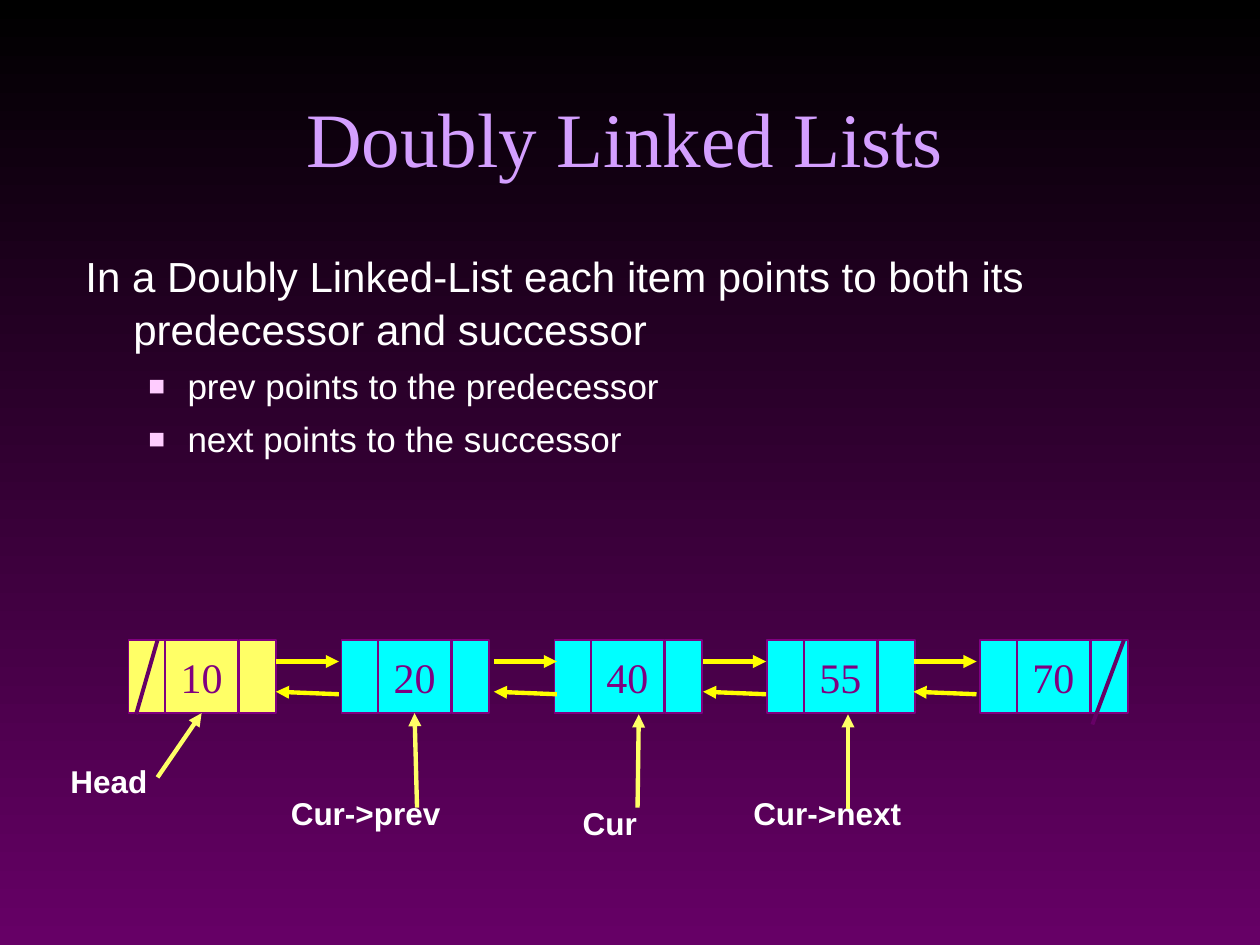
"""Build a slide that explains doubly linked lists with a five-node diagram."""
from lxml import etree
from pptx import Presentation
from pptx.dml.color import RGBColor
from pptx.enum.shapes import MSO_CONNECTOR, MSO_SHAPE
from pptx.enum.text import MSO_ANCHOR, PP_ALIGN
from pptx.oxml.ns import qn
from pptx.util import Inches, Pt

BLACK = RGBColor(0x00, 0x00, 0x00)
WHITE = RGBColor(0xFF, 0xFF, 0xFF)
LILAC = RGBColor(0xD4, 0x9F, 0xFF)
DARK_PURPLE = RGBColor(0x66, 0x00, 0x66)
PURPLE = RGBColor(0x80, 0x00, 0x80)
CYAN = RGBColor(0x00, 0xFF, 0xFF)
PALE_YELLOW = RGBColor(0xFF, 0xFF, 0x66)
YELLOW = RGBColor(0xFF, 0xFF, 0x00)
LEFT, CENTER = PP_ALIGN.LEFT, PP_ALIGN.CENTER
TOP, MIDDLE, BOTTOM = MSO_ANCHOR.TOP, MSO_ANCHOR.MIDDLE, MSO_ANCHOR.BOTTOM
RECTANGLE = MSO_SHAPE.RECTANGLE
STRAIGHT = MSO_CONNECTOR.STRAIGHT

deck = Presentation()
deck.slide_width, deck.slide_height = Inches(10), Inches(7.5)
page = deck.slides.add_slide(deck.slide_layouts[6])
background = page.background.fill
background.gradient()
background.gradient_angle = 270
for stop, color in zip(background.gradient_stops, (BLACK, DARK_PURPLE)):
    stop.color.rgb = color


def write(box, text, size, color, font="Arial", bold=False, align=LEFT, anchor=TOP,
          before=0, margin=0, hanging=0, bullet=False, spacing=None, more=False):
    frame = box.text_frame
    frame.word_wrap = True
    frame.vertical_anchor = anchor
    para = frame.add_paragraph() if more else frame.paragraphs[0]
    para.alignment = align
    para.space_before = Pt(before)
    para.line_spacing = spacing
    properties = para._p.get_or_add_pPr()
    properties.set("marL", str(Inches(margin)))
    properties.set("indent", str(-Inches(hanging)))
    if bullet:
        bullet_color = etree.SubElement(properties, qn("a:buClr"))
        etree.SubElement(bullet_color, qn("a:srgbClr"), val="FFCCFF")
        etree.SubElement(properties, qn("a:buSzPct"), val="80000")
        etree.SubElement(properties, qn("a:buFont"), typeface="Arial")
        etree.SubElement(properties, qn("a:buChar"), char="■")
    span = para.add_run()
    span.text = text
    span.font.name, span.font.size, span.font.bold = font, Pt(size), bold
    span.font.color.rgb = color


def draw_line(start, end, color, width=2.5, arrow=True):
    line = page.shapes.add_connector(STRAIGHT, *map(Inches, start + end))
    line.line.color.rgb = color
    line.line.width = Pt(width)
    if arrow:
        etree.SubElement(line.line._get_or_add_ln(), qn("a:tailEnd"), type="triangle")
    etree.SubElement(line._element.spPr, qn("a:effectLst"))
    return line


title = page.shapes.add_textbox(Inches(0.67), Inches(0.25), Inches(8.58), Inches(1.25))
write(title, "Doubly Linked Lists", 44, LILAC, font="Times New Roman", align=CENTER, anchor=BOTTOM)

body = page.shapes.add_textbox(Inches(0.58), Inches(1.92), Inches(8.58), Inches(4.5))
write(body, "In a Doubly Linked-List each item points to both its predecessor and successor",
      24, WHITE, margin=0.38, hanging=0.38, spacing=1.05)
for point in ("prev points to the predecessor", "next points to the successor"):
    write(body, point, 20, WHITE, before=5, margin=0.81, hanging=0.31, bullet=True,
          spacing=1.05, more=True)

NODE_TOP, NODE_HEIGHT, POINTER_WIDTH, VALUE_WIDTH = 5.08, 0.58, 0.29, 0.58
value_cells = {}
for index, value in enumerate(("10", "20", "40", "55", "70")):
    node_left = 1.02 + 1.69 * index
    for offset, width, text in ((0.29, VALUE_WIDTH, value), (0, POINTER_WIDTH, ""),
                                (0.88, POINTER_WIDTH, "")):
        cell = page.shapes.add_shape(RECTANGLE, Inches(node_left + offset), Inches(NODE_TOP),
                                     Inches(width), Inches(NODE_HEIGHT))
        cell.shadow.inherit = False
        cell.fill.solid()
        cell.fill.fore_color.rgb = CYAN if index else PALE_YELLOW
        cell.line.color.rgb = PURPLE
        cell.line.width = Pt(1)
        if text:
            write(cell, text, 24, PURPLE, font="Times New Roman", align=CENTER, anchor=MIDDLE)
            cell.text_frame.word_wrap = False
            value_cells[text] = cell

for gap_left in (2.19, 3.92, 5.58, 7.25):
    gap_right = gap_left + 0.5
    draw_line((gap_left, 5.25), (gap_right, 5.25), YELLOW)
    draw_line((gap_right, 5.51), (gap_left, 5.49), YELLOW)

draw_line((1.25, 5.08), (1.08, 5.67), DARK_PURPLE, width=2.25, arrow=False)
draw_line((8.92, 5.08), (8.67, 5.75), DARK_PURPLE, width=2.25, arrow=False)

for text, left, top, width, align in (
    ("Head", 0.46, 6, 1.56, LEFT),
    ("Cur->prev", 2.21, 6.25, 2.14, LEFT),
    ("Cur", 3.55, 6.33, 2.58, CENTER),
    ("Cur->next", 5.88, 6.25, 2.12, LEFT),
):
    label = page.shapes.add_textbox(Inches(left), Inches(top), Inches(width), Inches(0.4))
    write(label, text, 18, WHITE, bold=True, align=align)

head_arrow = draw_line((1.25, 6.17), (1.58, 5.67), PALE_YELLOW)
head_arrow.end_connect(value_cells["10"], 2)
previous_arrow = draw_line((3.31, 6.41), (3.31, 5.67), PALE_YELLOW)
previous_arrow.end_connect(value_cells["20"], 2)
draw_line((5.06, 6.41), (5.07, 5.67), PALE_YELLOW)
draw_line((6.73, 6.42), (6.73, 5.67), PALE_YELLOW)

deck.save("out.pptx")
